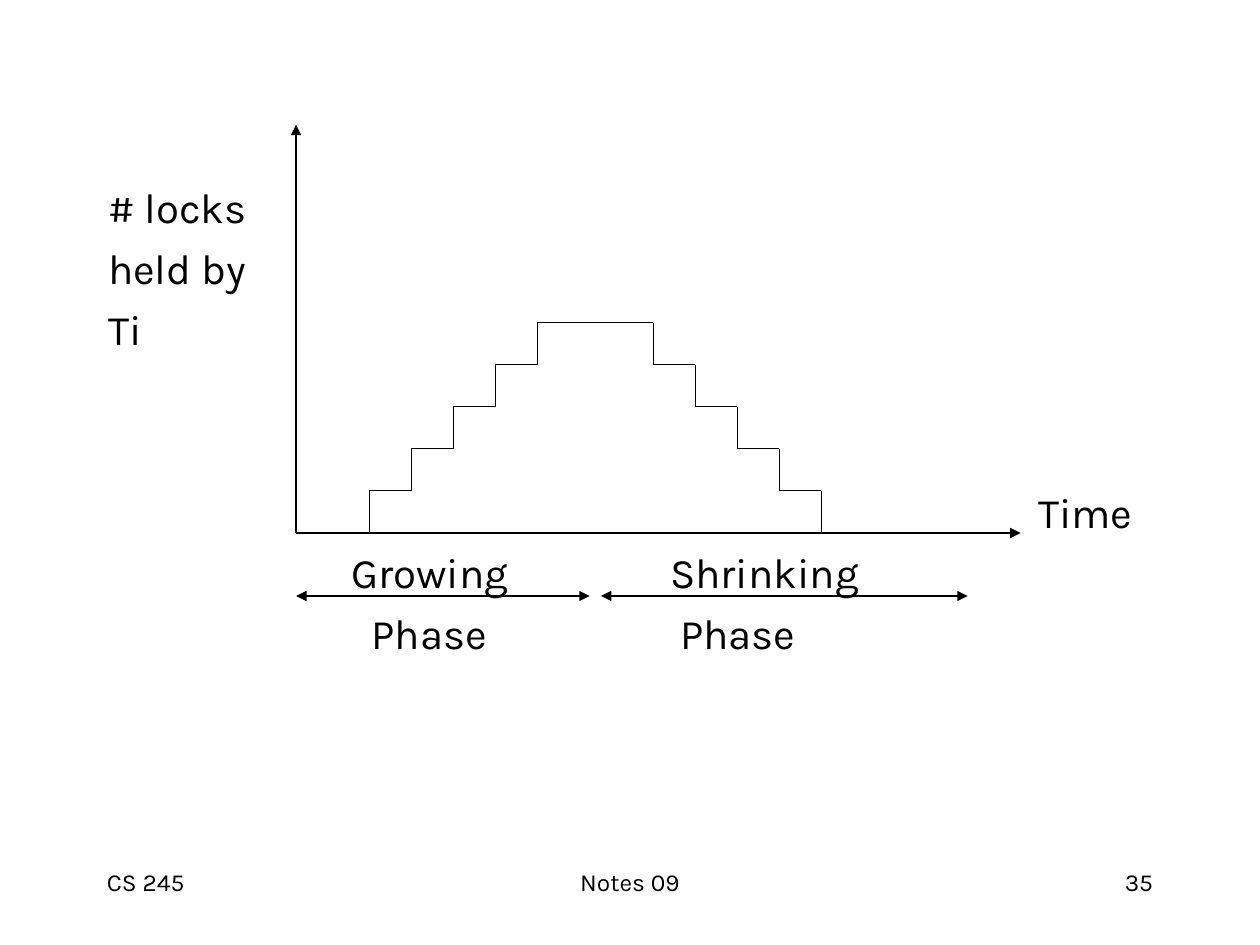
from dataclasses import dataclass

from lxml import etree
from pptx import Presentation
from pptx.dml.color import RGBColor
from pptx.enum.shapes import MSO_CONNECTOR
from pptx.enum.text import PP_ALIGN
from pptx.oxml.ns import qn
from pptx.util import Inches, Pt

STRAIGHT = MSO_CONNECTOR.STRAIGHT
LEFT, CENTER, RIGHT = PP_ALIGN.LEFT, PP_ALIGN.CENTER, PP_ALIGN.RIGHT
BLANK_LAYOUT = 6


@dataclass(frozen=True)
class Theme:
    """Colours, font and sizes of the slide."""
    ink: RGBColor = RGBColor(0, 0, 0)
    font: str = "Karla"
    label_size: Pt = Pt(24)
    footer_size: Pt = Pt(14)
    line_width: Pt = Pt(0.75)
    paragraph_gap: Pt = Pt(6)


THEME = Theme()


def add_text(slide, box, lines, size, align=LEFT, last_indent=0):
    """Place lines of text in a box, with an optional indent on the last."""
    frame = slide.shapes.add_textbox(*map(Inches, box)).text_frame
    frame.word_wrap = True
    frame.text = "\n".join(lines)
    for index, paragraph in enumerate(frame.paragraphs):
        paragraph.alignment = align
        if index:
            paragraph.space_before = THEME.paragraph_gap
        paragraph.font.name = THEME.font
        paragraph.font.size = size
        paragraph.font.color.rgb = THEME.ink
    if last_indent:
        properties = frame.paragraphs[-1]._p.get_or_add_pPr()
        properties.set("marL", str(Inches(last_indent)))


def add_line(slide, start, end, arrow=False):
    """Draw a line from start to end, with an optional arrowhead at the end."""
    line = slide.shapes.add_connector(STRAIGHT, *map(Inches, start + end))
    line.line.color.rgb = THEME.ink
    line.line.width = THEME.line_width
    if arrow:
        outline = line.line._get_or_add_ln()
        etree.SubElement(outline, qn("a:tailEnd"), type="triangle")
    etree.SubElement(line._element.spPr, qn("a:effectLst"))


def add_axes(slide, left, top, width, height):
    """Draw the lock and time axes with their labels."""
    origin = (left, top + height)
    add_line(slide, origin, (left + width, top + height), arrow=True)
    add_line(slide, origin, (left, top), arrow=True)
    add_text(slide, (left - 1.59, top + 0.4, 1.5, 1.5),
             ["# locks", "held by", "Ti"], THEME.label_size)
    add_text(slide, (left + width + 0.04, top + height - 0.42, 1.2, 0.5),
             ["Time"], THEME.label_size)


def add_lock_steps(slide, left, top, width, height, steps=5):
    """Draw a staircase that climbs to a plateau and descends again."""
    rise = height / steps
    for edge, inward in ((left, rise), (left + width, -rise)):
        for step in range(steps):
            x = edge + step * inward
            low = top + height - step * rise
            add_line(slide, (x, low), (x, low - rise))
            add_line(slide, (x, low - rise), (x + inward, low - rise))
    plateau = left + steps * rise
    add_line(slide, (plateau, top), (plateau + rise, top))


def add_phase(slide, left, top, width, pivot, name, name_left, indent):
    """Draw arrows from a pivot to both ends, with the name across them."""
    for end in (left, left + width):
        add_line(slide, (pivot, top), (end, top), arrow=True)
    add_text(slide, (name_left, top - 0.44, 2, 1.05),
             [name, "Phase"], THEME.label_size, last_indent=indent)


def add_footer(slide, left, top, width, height):
    """Place course, notes title and page number along the bottom."""
    side, middle = 2.08, 3.17
    cells = (
        ("CS 245", left, side, LEFT),
        ("Notes 09", left + (width - middle) / 2, middle, CENTER),
        ("35", left + width - side, side, RIGHT),
    )
    for text, cell_left, cell_width, align in cells:
        add_text(slide, (cell_left, top, cell_width, height),
                 [text], THEME.footer_size, align)


def main():
    """Build the two-phase locking slide."""
    deck = Presentation()
    deck.slide_width, deck.slide_height = Inches(10), Inches(7.5)
    slide = deck.slides.add_slide(deck.slide_layouts[BLANK_LAYOUT])
    add_axes(slide, 2.35, 0.99, 5.75, 3.24)
    add_lock_steps(slide, 2.93, 2.56, 3.59, 1.67)
    add_phase(slide, 2.35, 4.73, 2.33, 3.18, "Growing", 2.69, 0.16)
    add_phase(slide, 4.77, 4.73, 2.91, 6.43, "Shrinking", 5.22, 0.08)
    add_footer(slide, 0.75, 6.83, 8.5, 0.5)
    deck.save("out.pptx")


if __name__ == "__main__":
    main()
